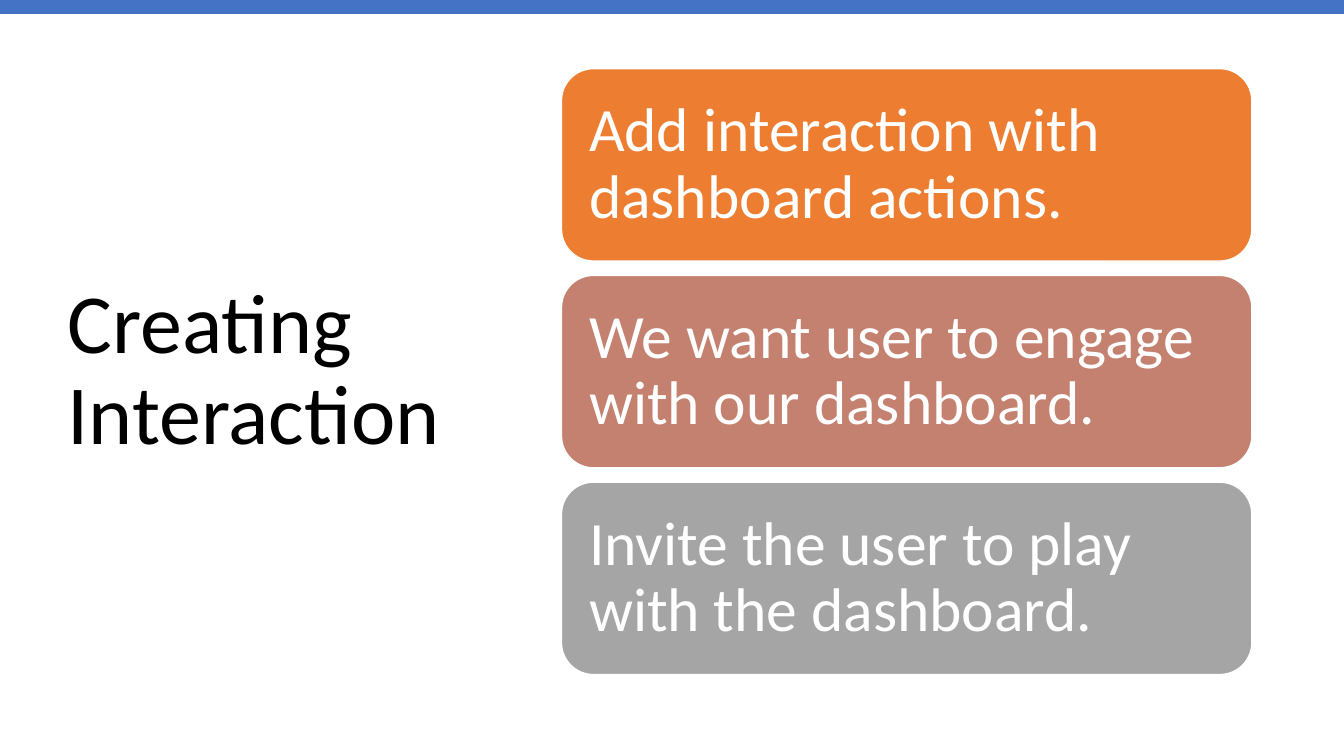
from pptx import Presentation
from pptx.dml.color import RGBColor
from pptx.enum.shapes import MSO_SHAPE as Kind
from pptx.enum.text import MSO_ANCHOR as Anchor, MSO_AUTO_SIZE as Fit, PP_ALIGN as Align
from pptx.util import Cm, Pt

BLACK = RGBColor(0x00, 0x00, 0x00)
WHITE = RGBColor(0xFF, 0xFF, 0xFF)
BLUE = RGBColor(0x44, 0x72, 0xC4)
ORANGE = RGBColor(0xED, 0x7D, 0x31)
ROSE = RGBColor(0xC4, 0x81, 0x70)
GRAY = RGBColor(0xA5, 0xA5, 0xA5)

TITLE = "Creating Interaction"
CARDS = [
    ("Add interaction with dashboard actions.", ORANGE),
    ("We want user to engage with our dashboard.", ROSE),
    ("Invite the user to play with the dashboard.", GRAY),
]
WIDE, HIGH = Cm(33.87), Cm(19.05)
TOP = Cm(1.73)
LEFT, WIDTH, HEIGHT, PITCH = Cm(14.15), Cm(17.4), Cm(4.85), Cm(5.21)
INSET = Cm(0.46)


def write(shape, text, size, color):
    """Put left-aligned, vertically centred text in a shape."""
    frame = shape.text_frame
    frame.text = text
    frame.word_wrap = True
    frame.auto_size = Fit.NONE
    frame.vertical_anchor = Anchor.MIDDLE
    para = frame.paragraphs[0]
    para.alignment = Align.LEFT
    para.line_spacing = 0.9
    font = para.runs[0].font
    font.name, font.size = "Calibri", Pt(size)
    font.color.rgb = color
    return frame


def block(kind, box, fill):
    """Add a flat filled shape without an outline."""
    shape = slide.shapes.add_shape(kind, *box)
    shape.shadow.inherit = False
    shape.fill.solid()
    shape.fill.fore_color.rgb = fill
    shape.line.fill.background()
    return shape


deck = Presentation()
deck.slide_width, deck.slide_height = WIDE, HIGH
slide = deck.slides.add_slide(deck.slide_layouts[5])

title = slide.shapes.title
title.left, title.top, title.width, title.height = Cm(1.45), TOP, Cm(10.57), Cm(15.29)
write(title, TITLE, 60, BLACK)

block(Kind.RECTANGLE, (0, 0, WIDE, Cm(0.35)), BLUE)

for row, (text, fill) in enumerate(CARDS):
    card = block(Kind.ROUNDED_RECTANGLE, (LEFT, TOP + row * PITCH, WIDTH, HEIGHT), fill)
    card.line.color.rgb = WHITE
    card.line.width = Pt(1)
    frame = write(card, text, 44, WHITE)
    frame.margin_left = frame.margin_right = INSET
    frame.margin_top = frame.margin_bottom = INSET

deck.save("out.pptx")
